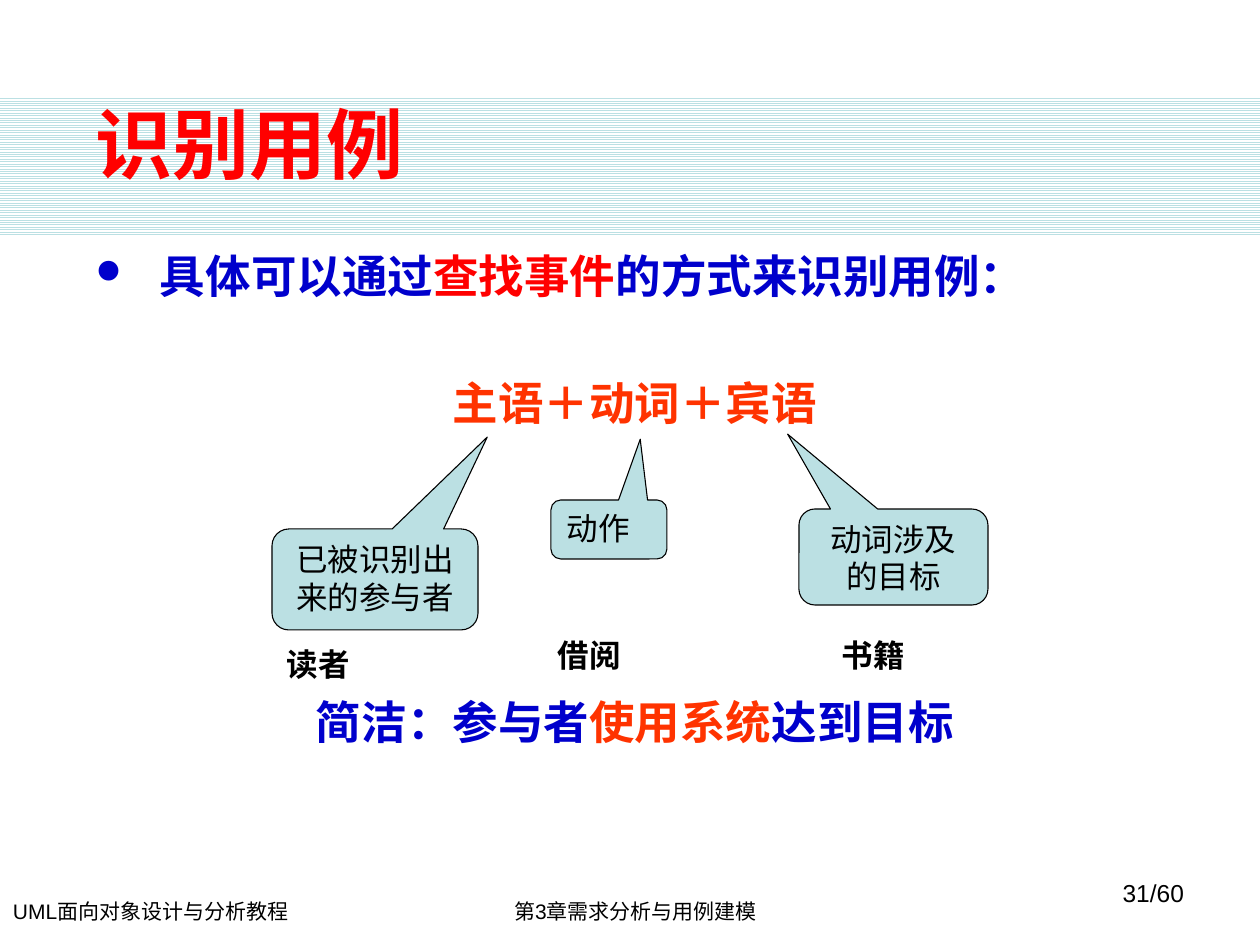
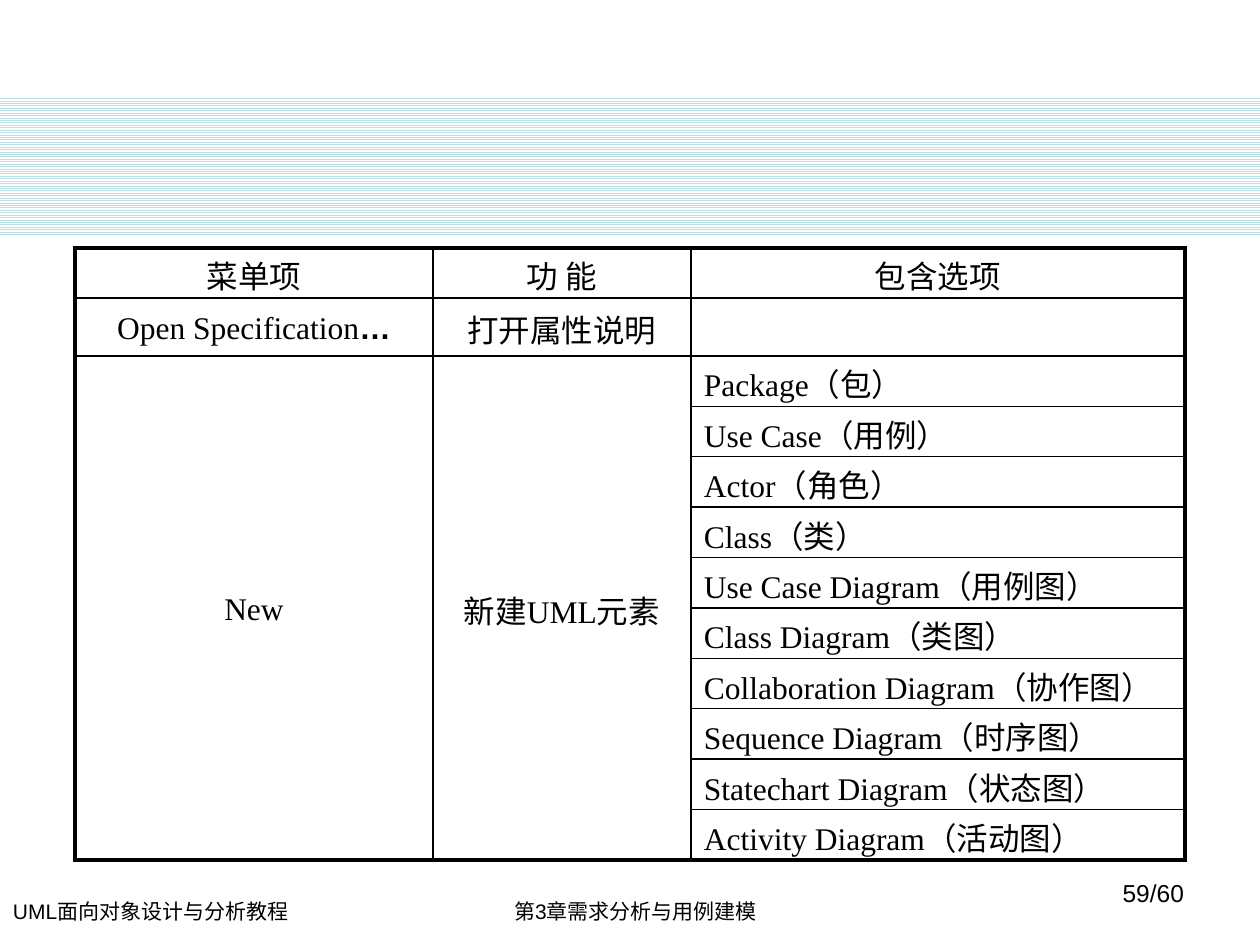
from dataclasses import dataclass

from lxml.etree import SubElement
from pptx import Presentation
from pptx.dml.color import RGBColor
from pptx.enum.dml import MSO_PATTERN
from pptx.enum.shapes import MSO_SHAPE
from pptx.enum.text import MSO_ANCHOR, PP_ALIGN
from pptx.oxml.ns import qn
from pptx.util import Emu, Pt


@dataclass(frozen=True)
class Theme:
    white: str = "FFFFFF"
    black: str = "000000"
    teal: str = "BBE0E3"
    blue: str = "0000CC"
    red: str = "FF0000"
    orange: str = "FF3300"
    sans: str = "Arial"
    serif: str = "Times New Roman"
    chinese: str = "Noto Sans CJK SC"
    title: int = 44
    body: int = 26
    label: int = 18
    page: int = 14
    footer: int = 12
    leading: float = 1.2
    thin: int = 1
    thick: int = 3
    outline: float = 0.63


THEME = Theme()
EMU_PER_PX = 914400 / 126
WIDTH, HEIGHT = 1260, 945
INSET_X, INSET_Y = 13, 6

MENU_ROWS = [
    ("菜单项", "功 能", "包含选项"),
    ("Open Specification", "打开属性说明", ""),
    ("New", "新建UML元素", "Package（包）"),
]
MORE_OPTIONS = [
    "Use Case（用例）",
    "Actor（角色）",
    "Class（类）",
    "Use Case Diagram（用例图）",
    "Class Diagram（类图）",
    "Collaboration Diagram（协作图）",
    "Sequence Diagram（时序图）",
    "Statechart Diagram（状态图）",
    "Activity Diagram（活动图）",
]


def px(length):
    return Emu(round(length * EMU_PER_PX))


def rgb(code):
    return RGBColor.from_string(code)


def add_run(paragraph, text, size, color=THEME.black, font=THEME.chinese, bold=False):
    run = paragraph.add_run()
    run.text = text
    run.font.size = Pt(size)
    run.font.bold = bold
    run.font.color.rgb = rgb(color)
    run.font.name = font
    SubElement(run.font._element, qn("a:ea"), typeface=THEME.chinese)
    paragraph.line_spacing = Pt(size * THEME.leading)


def set_insets(frame, left=INSET_X, top=INSET_Y, bottom=INSET_Y):
    frame.margin_left, frame.margin_right = px(left), px(INSET_X)
    frame.margin_top, frame.margin_bottom = px(top), px(bottom)


def add_frame(slide, box, anchor=MSO_ANCHOR.TOP, left_inset=INSET_X):
    frame = slide.shapes.add_textbox(*map(px, box)).text_frame
    frame.word_wrap = True
    frame.vertical_anchor = anchor
    set_insets(frame, left_inset)
    return frame


def add_line(slide, box, text, size, align=PP_ALIGN.LEFT, color=THEME.black,
             font=THEME.sans, bold=False, **frame_options):
    paragraph = add_frame(slide, box, **frame_options).paragraphs[0]
    paragraph.alignment = align
    add_run(paragraph, text, size, color, font, bold)


def add_base_slide(deck, page):
    slide = deck.slides.add_slide(deck.slide_layouts[6])
    slide.background.fill.solid()
    slide.background.fill.fore_color.rgb = rgb(THEME.white)
    band = slide.shapes.add_shape(MSO_SHAPE.RECTANGLE, *map(px, (0, 96, WIDTH, 139)))
    band.shadow.inherit = False
    band.line.fill.background()
    band.fill.patterned()
    band.fill.pattern = MSO_PATTERN.LIGHT_HORIZONTAL
    band.fill.fore_color.rgb = rgb(THEME.teal)
    band.fill.back_color.rgb = rgb(THEME.white)
    add_line(slide, (13, 893, 427, 38), "UML面向对象设计与分析教程", THEME.footer, left_inset=0)
    add_line(slide, (422, 893, 427, 38), "第3章需求分析与用例建模", THEME.footer, PP_ALIGN.CENTER)
    add_line(slide, (903, 872, 294, 63), f"{page}/60", THEME.page, PP_ALIGN.RIGHT)
    return slide


def add_bullet(paragraph):
    properties = paragraph._p.get_or_add_pPr()
    properties.set("marL", str(px(64)))
    properties.set("indent", str(-px(64)))
    SubElement(properties, qn("a:buSzPct"), val="75000")
    SubElement(properties, qn("a:buFont"), typeface="Wingdings", charset="2")
    SubElement(properties, qn("a:buChar"), char="l")


def add_statement(paragraph, parts):
    for text, color in parts:
        add_run(paragraph, text, THEME.body, color, bold=True)


def add_body(slide):
    frame = add_frame(slide, (83, 242, 1104, 588))
    opening = frame.paragraphs[0]
    add_bullet(opening)
    add_statement(opening, [("具体可以通过", THEME.blue), ("查找事件", THEME.red),
                            ("的方式来识别用例：", THEME.blue)])
    pattern = frame.add_paragraph()
    pattern.space_before = Pt(41.6)
    add_statement(pattern, [("主语＋动词＋宾语", THEME.orange)])
    summary = frame.add_paragraph()
    summary.space_before = Pt(150.8)
    add_statement(summary, [("简洁：参与者", THEME.blue), ("使用系统", THEME.orange),
                            ("达到目标", THEME.blue)])
    pattern.alignment = summary.alignment = PP_ALIGN.CENTER


def add_callout(slide, box, pointer, text, align=PP_ALIGN.CENTER):
    callout = slide.shapes.add_shape(MSO_SHAPE.ROUNDED_RECTANGULAR_CALLOUT, *map(px, box))
    callout.shadow.inherit = False
    callout.adjustments[0], callout.adjustments[1] = pointer
    callout.fill.solid()
    callout.fill.fore_color.rgb = rgb(THEME.teal)
    callout.line.color.rgb = rgb(THEME.black)
    callout.line.width = Pt(THEME.outline)
    frame = callout.text_frame
    frame.word_wrap = True
    frame.vertical_anchor = MSO_ANCHOR.TOP
    set_insets(frame)
    paragraph = frame.paragraphs[0]
    paragraph.alignment = align
    add_run(paragraph, text, THEME.label)


def set_borders(cell, thick_sides):
    properties = cell._tc.get_or_add_tcPr()
    for side, is_thick in thick_sides.items():
        width = THEME.thick if is_thick else THEME.thin
        edge = SubElement(properties, qn(f"a:ln{side}"), w=str(Pt(width)))
        fill = SubElement(edge, qn("a:solidFill"))
        SubElement(fill, qn("a:srgbClr"), val=THEME.black)


def add_menu_table(slide):
    rows = MENU_ROWS + [("", "", option) for option in MORE_OPTIONS]
    columns = (358, 258, 494)
    option_count = len(MORE_OPTIONS) + 1
    heights = [px(50), px(58)] + [px(504) // option_count] * option_count
    frame = slide.shapes.add_table(len(rows), len(columns), px(75), px(248),
                                   px(sum(columns)), sum(heights))
    table = frame.table
    table.first_row = table.horz_banding = False
    for column, width in zip(table.columns, columns):
        column.width = px(width)
    for row, height in zip(table.rows, heights):
        row.height = height
    last_row, last_column = len(rows) - 1, len(columns) - 1
    for r, texts in enumerate(rows):
        for c, text in enumerate(texts):
            cell = table.cell(r, c)
            is_merged = r > 1 and c < last_column
            set_borders(cell, {"L": c == 0, "R": c == last_column, "T": r == 0,
                               "B": r == last_row or is_merged})
            cell.fill.background()
            if text.isascii():
                set_insets(cell)
            else:
                set_insets(cell, top=2 * INSET_Y, bottom=0)
            cell.vertical_anchor = MSO_ANCHOR.MIDDLE if r else MSO_ANCHOR.TOP
            if text:
                paragraph = cell.text_frame.paragraphs[0]
                is_option = r > 1 and c == last_column
                paragraph.alignment = PP_ALIGN.LEFT if is_option else PP_ALIGN.CENTER
                add_run(paragraph, text, THEME.label, font=THEME.serif)
    add_run(table.cell(1, 0).text_frame.paragraphs[0], "…", THEME.label,
            font=THEME.sans, bold=True)
    for c in range(last_column):
        table.cell(2, c).merge(table.cell(last_row, c))


def add_use_case_slide(deck):
    slide = add_base_slide(deck, 31)
    add_body(slide)
    add_line(slide, (83, 82, 1101, 113), "识别用例", THEME.title, color=THEME.red,
             bold=True, anchor=MSO_ANCHOR.BOTTOM)
    add_callout(slide, (272, 529, 206, 101), (0.545, -1.41), "已被识别出来的参与者")
    add_callout(slide, (551, 500, 116, 59), (0.27, -1.53), "动作", PP_ALIGN.LEFT)
    add_callout(slide, (799, 509, 189, 96), (-0.56, -1.28), "动词涉及的目标")
    for left, top, example in [(274, 639, "读者"), (545, 630, "借阅"), (829, 630, "书籍")]:
        add_line(slide, (left, top, 100, 50), example, THEME.label,
                 font=THEME.chinese, bold=True)


def main():
    deck = Presentation()
    deck.slide_width, deck.slide_height = px(WIDTH), px(HEIGHT)
    add_use_case_slide(deck)
    add_menu_table(add_base_slide(deck, 59))
    deck.save("out.pptx")


if __name__ == "__main__":
    main()
